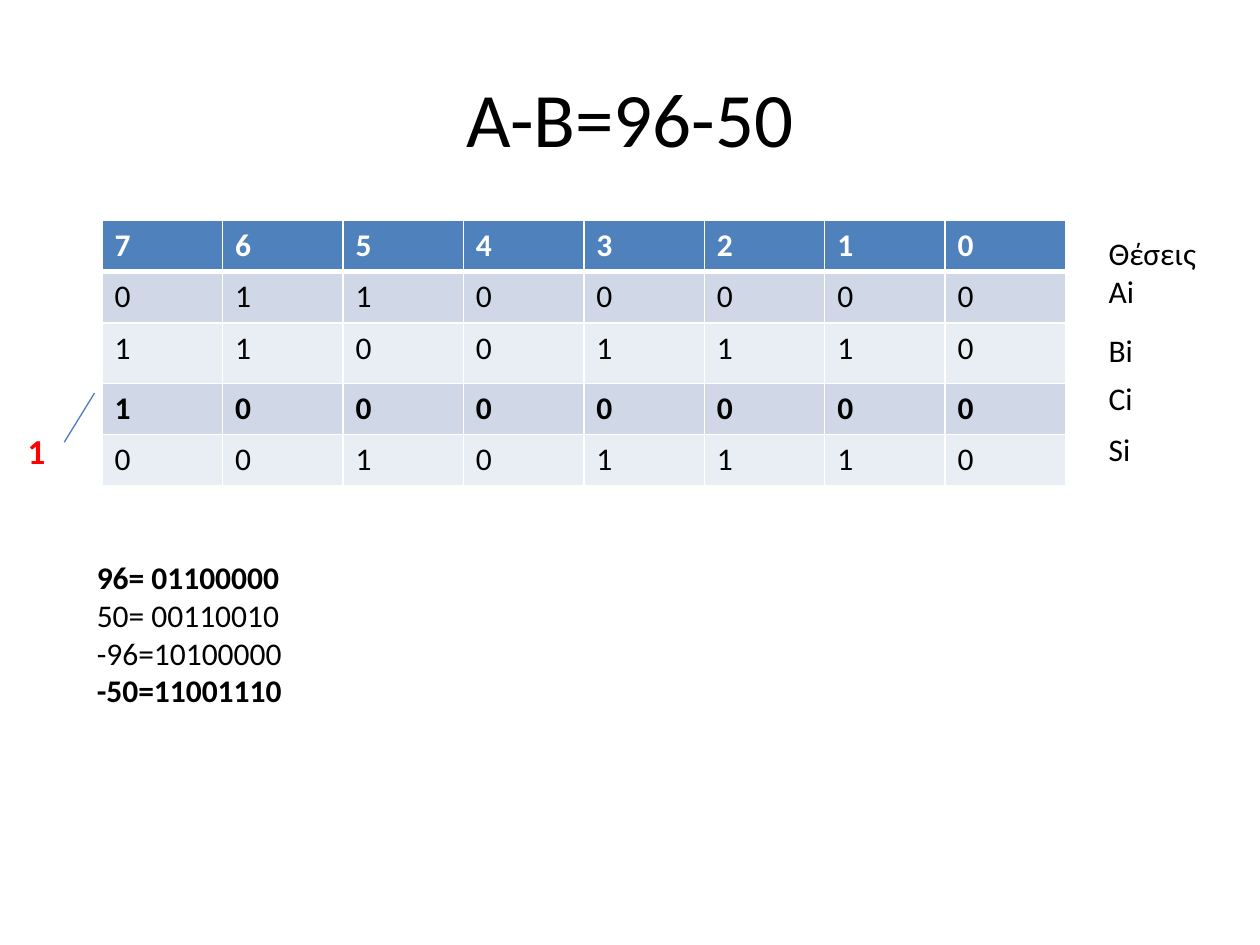
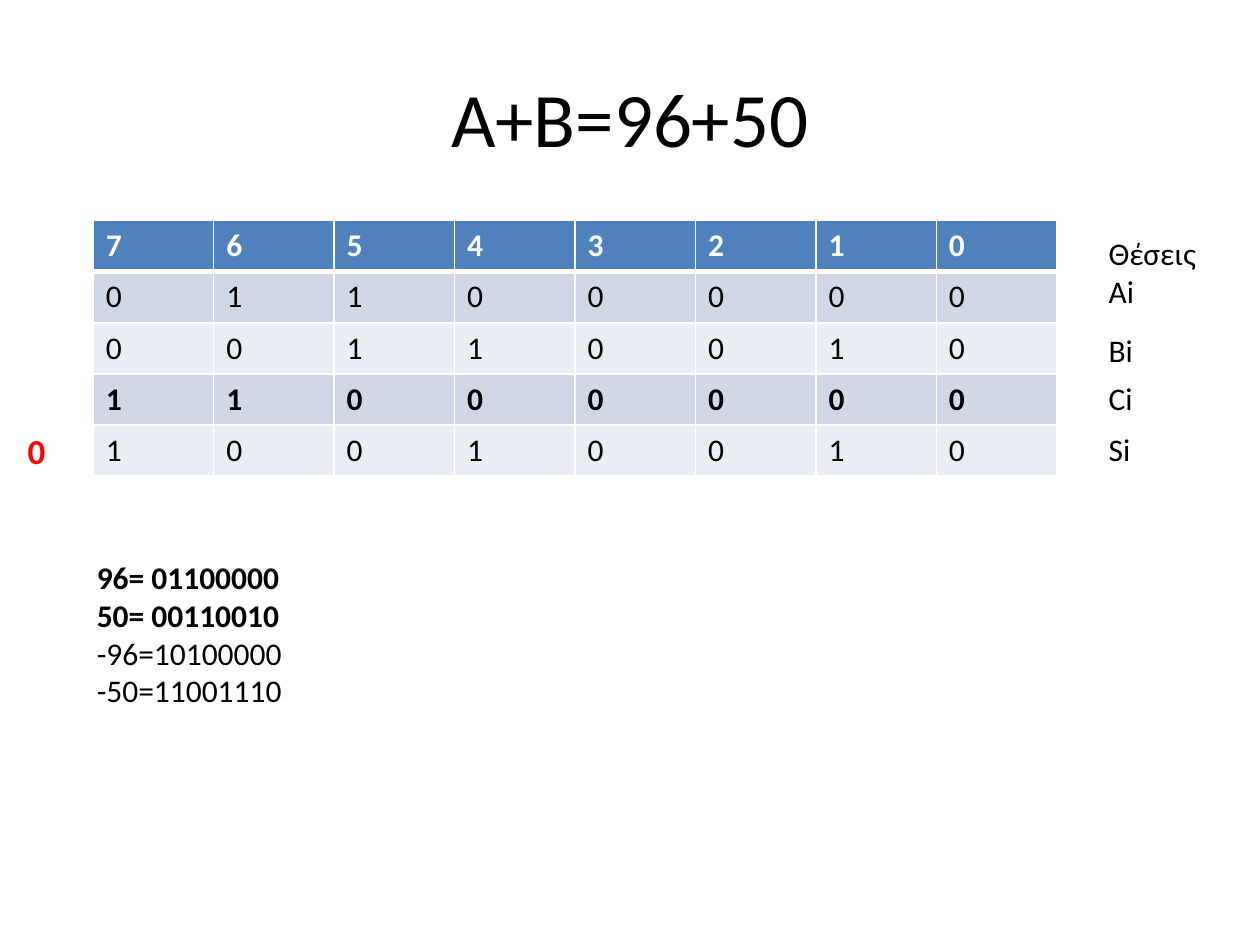
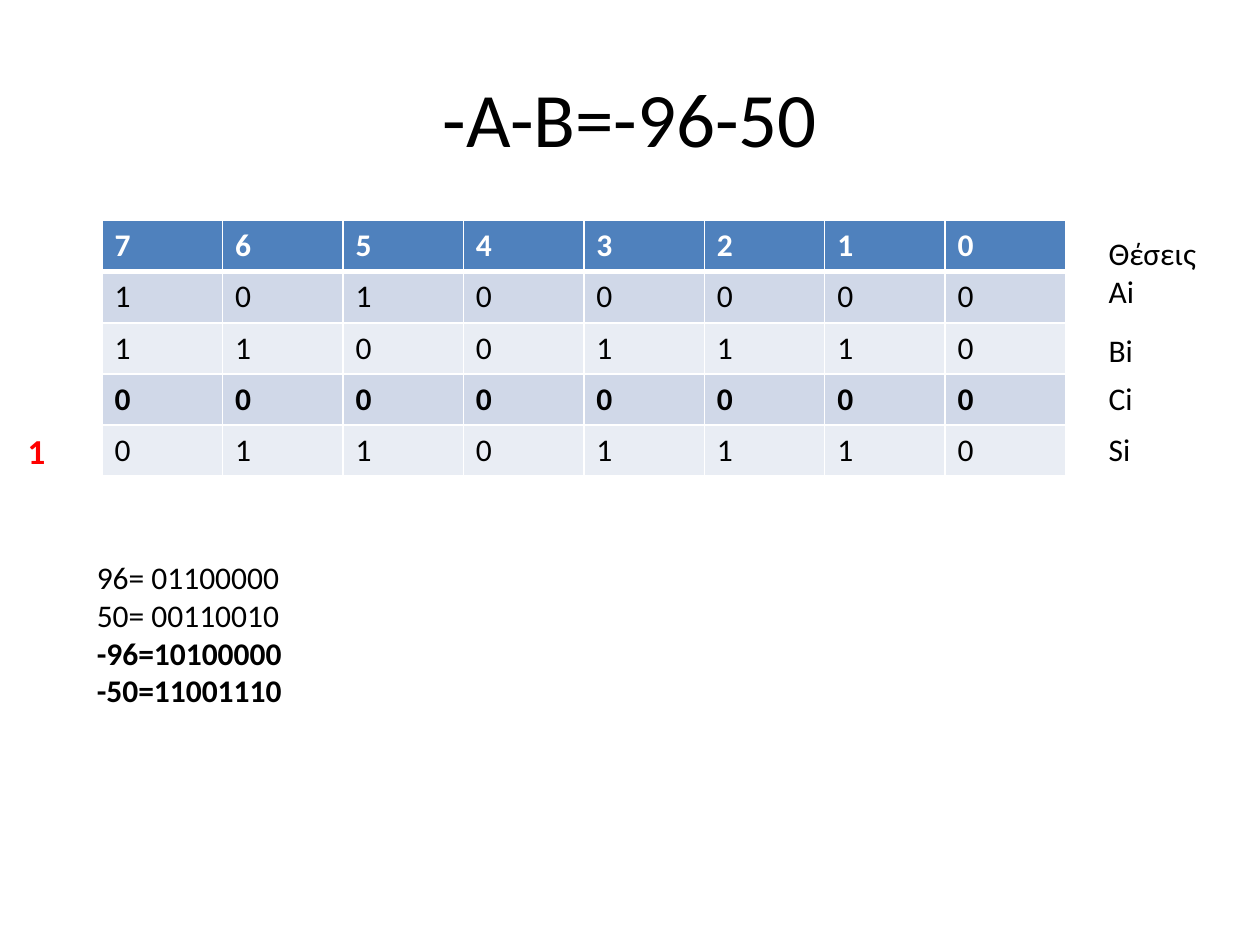
from dataclasses import dataclass

from lxml import etree
from pptx import Presentation
from pptx import util as u
from pptx.dml.color import RGBColor
from pptx.enum import shapes, text
from pptx.oxml import ns


@dataclass(frozen=True)
class Theme:
    font: str = "Calibri"
    ink: str = "000000"
    white: str = "FFFFFF"
    header: str = "4F81BD"
    bands: tuple = ("D0D8E8", "E9EDF4")
    overflow: str = "FF0000"
    line: str = "4B7EBC"
    title_size: int = 44
    body_size: int = 18
    overflow_size: int = 20
    line_width: float = 0.75
    border: int = 1
    header_border: int = 3


# Shared content and layout
POSITIONS = "76543210"
ROW_LABELS = [
    (("Θέσεις", "Αi"), 1.81, 1.01),
    (("Bi",), 2.58, 0.71),
    (("Ci",), 2.96, 0.71),
    (("Si",), 3.36, 0.71),
]
BINARY_VALUES = ("96= 01100000", "50= 00110010", "-96=10100000", "-50=11001110")
CARRY_ROW = 3
TABLE_TOP, TABLE_WIDTH = 1.75, 7.65
ROW_HEIGHT = 2.03 / 5


class Deck:
    def __init__(self, theme):
        self.theme = theme
        self.slide = None
        self.presentation = Presentation()
        self.presentation.slide_width = u.Inches(10)
        self.presentation.slide_height = u.Inches(7.5)

    def format_runs(self, paragraph, size, color, bold=False):
        for run in paragraph.runs:
            run.font.name = self.theme.font
            run.font.size = u.Pt(size)
            run.font.bold = bold
            run.font.color.rgb = RGBColor.from_string(color)

    def add_slide(self, title):
        layout = self.presentation.slide_layouts[5]  # title only
        self.slide = self.presentation.slides.add_slide(layout)
        shape = self.slide.shapes.title
        shape.left, shape.top = u.Inches(0.5), u.Inches(0.3)
        shape.width, shape.height = u.Inches(9), u.Inches(1.25)
        frame = shape.text_frame
        frame.text = title
        frame.vertical_anchor = text.MSO_ANCHOR.MIDDLE
        frame.paragraphs[0].alignment = text.PP_ALIGN.CENTER
        self.format_runs(frame.paragraphs[0], self.theme.title_size, self.theme.ink)

    def add_text(self, lines, left, top, width, height,
                 size=None, color=None, bold_lines=()):
        shape = self.slide.shapes.add_textbox(*map(u.Inches, (left, top, width, height)))
        frame = shape.text_frame
        frame.word_wrap = True
        frame.auto_size = text.MSO_AUTO_SIZE.SHAPE_TO_FIT_TEXT
        frame.text = "\n".join(lines)
        for index, paragraph in enumerate(frame.paragraphs):
            self.format_runs(paragraph, size or self.theme.body_size,
                             color or self.theme.ink, index in bold_lines)

    def set_borders(self, cell, top, bottom):
        properties = cell._tc.get_or_add_tcPr()
        widths = {"lnL": self.theme.border, "lnR": self.theme.border,
                  "lnT": top, "lnB": bottom}
        for tag, width in widths.items():
            line = etree.SubElement(properties, ns.qn(f"a:{tag}"), w=str(u.Pt(width)))
            fill = etree.SubElement(line, ns.qn("a:solidFill"))
            etree.SubElement(fill, ns.qn("a:srgbClr"), val=self.theme.white)

    def add_bit_table(self, rows, left, row_heights):
        theme = self.theme
        table = self.slide.shapes.add_table(
            len(rows), len(POSITIONS), u.Inches(left), u.Inches(TABLE_TOP),
            u.Inches(TABLE_WIDTH), u.Inches(sum(row_heights))).table
        for row, height in zip(table.rows, row_heights):
            row.height = u.Inches(height)
        for row_index, bits in enumerate(rows):
            is_header = row_index == 0
            fill = theme.header if is_header else theme.bands[(row_index - 1) % 2]
            color = theme.white if is_header else theme.ink
            top = theme.header_border if row_index == 1 else theme.border
            bottom = theme.header_border if is_header else theme.border
            for column, bit in enumerate(bits):
                cell = table.cell(row_index, column)
                cell.text_frame.text = bit
                self.format_runs(cell.text_frame.paragraphs[0], theme.body_size,
                                 color, row_index in (0, CARRY_ROW))
                self.set_borders(cell, top, bottom)
                cell.fill.solid()
                cell.fill.fore_color.rgb = RGBColor.from_string(fill)

    def add_line(self, *points):
        connector = self.slide.shapes.add_connector(
            shapes.MSO_CONNECTOR.STRAIGHT, *map(u.Inches, points))
        connector.line.color.rgb = RGBColor.from_string(self.theme.line)
        connector.line.width = u.Pt(self.theme.line_width)
        etree.SubElement(connector._element.spPr, ns.qn("a:effectLst"))

    def add_calculation(self, title, bits, overflow, used_values,
                        left=0.81, second_operand_height=ROW_HEIGHT):
        self.add_slide(title)
        rows = (POSITIONS, *bits)
        heights = [ROW_HEIGHT] * len(rows)
        heights[2] = second_operand_height
        self.add_bit_table(rows, left, heights)
        for lines, top, height in ROW_LABELS:
            self.add_text(lines, 8.7, top, 1.18, height)
        self.add_text(BINARY_VALUES, 0.67, 4.38, 8.03, 1.31, bold_lines=used_values)
        self.add_text([overflow], 0.12, 3.36, 0.55, 0.44, self.theme.overflow_size,
                      self.theme.overflow, bold_lines=(0,))


def main():
    deck = Deck(Theme())

    # Subtraction, with the carry line out of the top bit
    deck.add_calculation("Α-Β=96-50",
                         ("01100000", "11001110", "10000000", "00101110"),
                         "1", (0, 3), second_operand_height=0.48)
    deck.add_line(0.75, 3.12, 0.51, 3.51)

    # Addition
    deck.add_calculation("Α+Β=96+50",
                         ("01100000", "00110010", "11000000", "10010010"),
                         "0", (0, 1), left=0.74)

    # Sum of two negatives
    deck.add_calculation("-Α-Β=-96-50",
                         ("10100000", "11001110", "00000000", "01101110"),
                         "1", (2, 3))

    deck.presentation.save("out.pptx")


if __name__ == "__main__":
    main()
